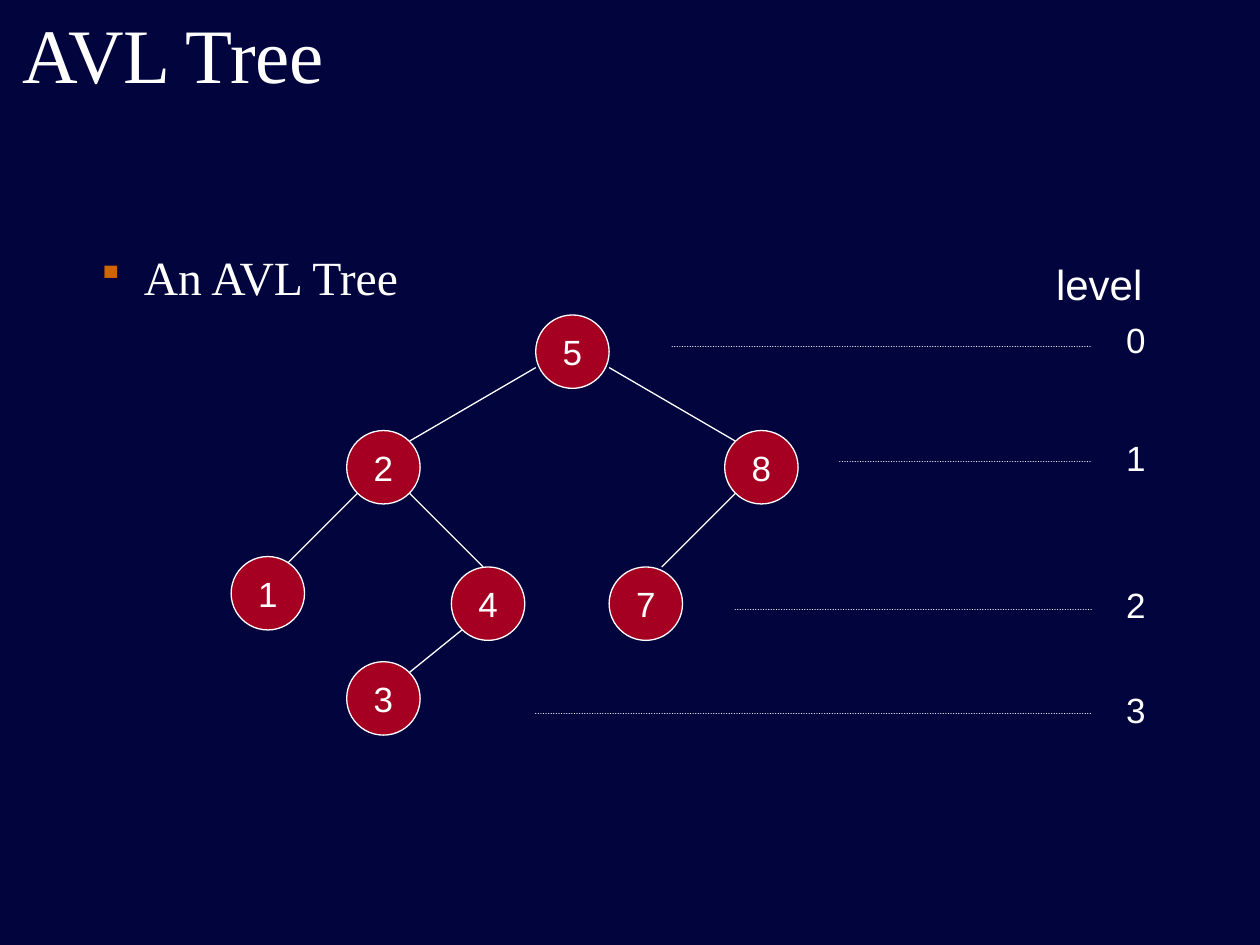
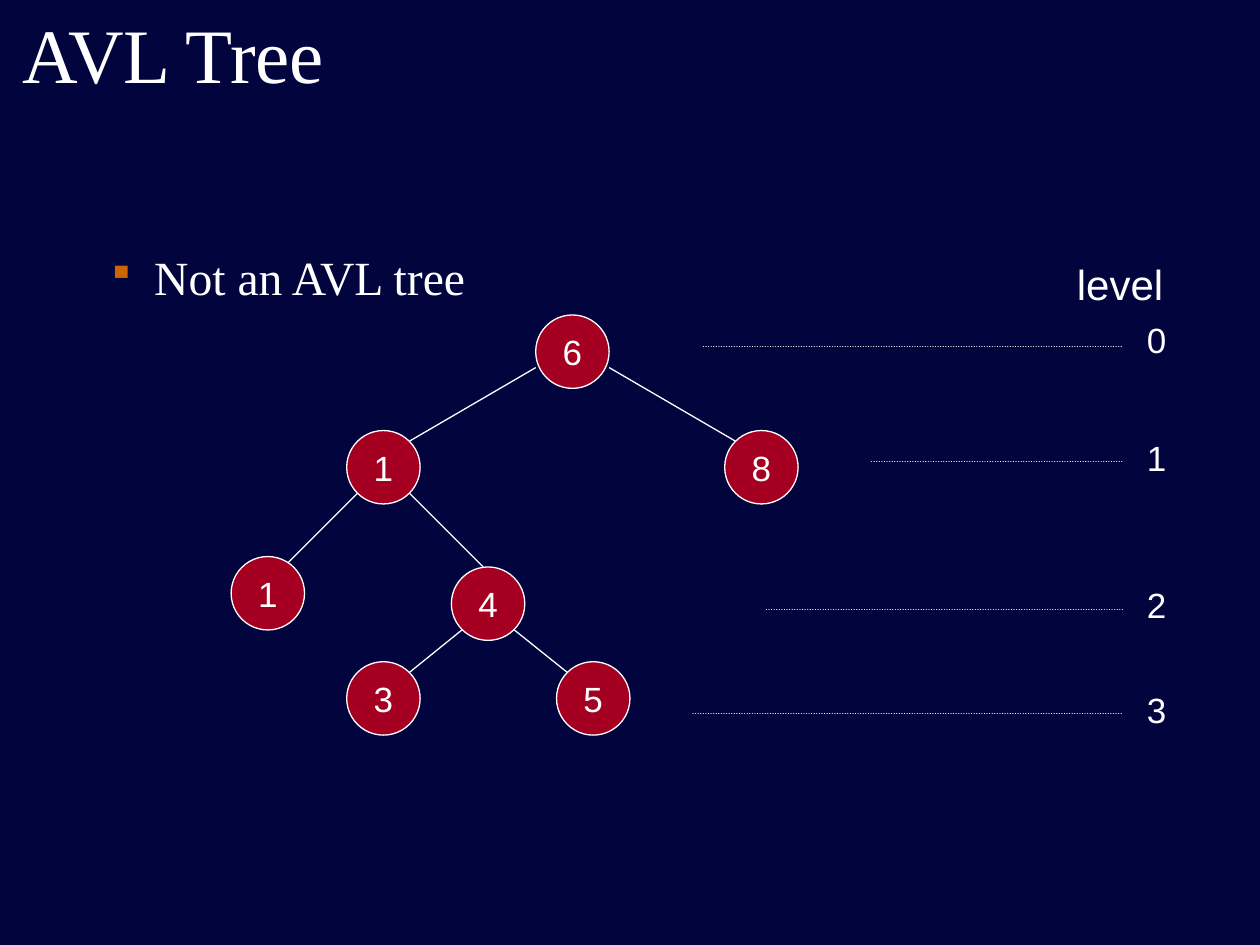
from lxml import etree
from pptx import Presentation
from pptx.dml.color import RGBColor
from pptx.enum.dml import MSO_LINE
from pptx.enum.shapes import MSO_CONNECTOR, MSO_SHAPE
from pptx.enum.text import MSO_ANCHOR, MSO_AUTO_SIZE, PP_ALIGN
from pptx.oxml.ns import qn
from pptx.util import Cm, Pt

NAVY = RGBColor(0x01, 0x04, 0x3D)
RED = RGBColor(0xA5, 0x00, 0x21)
WHITE = RGBColor(0xFF, 0xFF, 0xFF)
ORANGE = RGBColor(0xCC, 0x66, 0x00)
SERIF, SANS = "Times New Roman", "Arial"
CENTER, LEFT = PP_ALIGN.CENTER, PP_ALIGN.LEFT
MIDDLE, NO_FIT = MSO_ANCHOR.MIDDLE, MSO_AUTO_SIZE.NONE
STRAIGHT, OVAL, DOTTED = MSO_CONNECTOR.STRAIGHT, MSO_SHAPE.OVAL, MSO_LINE.ROUND_DOT
TITLE_ONLY = 5

# Tree geometry in cm; L and R spell the way down from the root
NODE_SIZE = 1.48
NODE_SPOTS = {
    "root": (10.8, 6.35), "L": (6.99, 8.68), "R": (14.61, 8.68),
    "LL": (4.66, 11.22), "LR": (9.1, 11.43), "RL": (12.28, 11.43),
    "LRL": (6.99, 13.34), "LRR": (11.22, 13.34),
}
# Edge from the parent to the node named by the key
EDGES = {
    "L": (10.8, 7.41, 8.26, 8.89), "R": (12.28, 7.41, 14.82, 8.89),
    "LL": (7.2, 9.95, 5.72, 11.43), "LR": (8.26, 9.95, 9.74, 11.43),
    "RL": (14.82, 9.95, 13.34, 11.43),
    "LRL": (9.31, 12.7, 8.26, 13.55), "LRR": (10.37, 12.7, 11.43, 13.55),
}
# Height of each level's line and top of its number
LEVELS = [(6.99, 6.3), (9.31, 8.68), (12.28, 11.64), (14.39, 13.76)]


def style_paragraph(p, size, font, align=LEFT):
    p.alignment = align
    p.font.size, p.font.name = Pt(size), font
    p.font.color.rgb = WHITE


def add_title(s, text):
    title = s.shapes.title
    title.left, title.top, title.width, title.height = Cm(0.2), Cm(-0.2), Cm(22.86), Cm(2.54)
    tf = title.text_frame
    tf.text = text
    tf.auto_size, tf.vertical_anchor = NO_FIT, MIDDLE
    style_paragraph(tf.paragraphs[0], 44, SERIF)


def add_text(s, text, x, y, w, h, size, font=SANS, align=CENTER, wrap=False):
    tf = s.shapes.add_textbox(Cm(x), Cm(y), Cm(w), Cm(h)).text_frame
    tf.word_wrap = wrap
    p = tf.paragraphs[0]
    p.text = text
    style_paragraph(p, size, font, align)
    return p


def add_bullet(s, text, x):
    p = add_text(s, text, x, 4.88, 21.18, 1.5, 27.2, SERIF, LEFT, True)
    p.space_before = Pt(8)
    pPr = p._p.get_or_add_pPr()
    pPr.set("marL", str(Cm(0.95)))
    pPr.set("indent", str(Cm(-0.95)))
    # Bullet elements go before the default run properties
    mark = etree.Element(qn("a:buClr"))
    etree.SubElement(mark, qn("a:srgbClr"), val=str(ORANGE))
    size = etree.Element(qn("a:buSzPct"), val="80000")
    char = etree.Element(qn("a:buChar"), char="▪")
    default_run = pPr.find(qn("a:defRPr"))
    for element in (mark, size, char):
        default_run.addprevious(element)


def add_line(s, x1, y1, x2, y2, dash=None):
    line = s.shapes.add_connector(STRAIGHT, Cm(x1), Cm(y1), Cm(x2), Cm(y2))
    line.line.color.rgb = WHITE
    line.line.width = Pt(0.75)
    if dash:
        line.line.dash_style = dash
        line._element.spPr.find(qn("a:ln")).set("cap", "rnd")
    etree.SubElement(line._element.spPr, qn("a:effectLst"))


def add_node(s, key, x, y):
    sp = s.shapes.add_shape(OVAL, Cm(x), Cm(y), Cm(NODE_SIZE), Cm(NODE_SIZE))
    sp.shadow.inherit = False
    sp.fill.solid()
    sp.fill.fore_color.rgb = RED
    sp.line.color.rgb = WHITE
    sp.line.width = Pt(0.75)
    tf = sp.text_frame
    tf.margin_left = tf.margin_right = tf.margin_top = tf.margin_bottom = 0
    tf.vertical_anchor = MIDDLE
    tf.text = key
    style_paragraph(tf.paragraphs[0], 20, SANS, CENTER)


def add_tree(s, keys):
    # Edges lie behind the nodes
    for spot in keys:
        if spot in EDGES:
            add_line(s, *EDGES[spot])
    for spot, key in keys.items():
        add_node(s, key, *NODE_SPOTS[spot])


def add_levels(s, line_starts, line_end, number_x):
    add_text(s, "level", number_x - 1.69, 5.08, 2.8, 1.27, 24)
    for level, (start, (line_y, number_y)) in enumerate(zip(line_starts, LEVELS)):
        add_line(s, start, line_y, line_end, line_y, DOTTED)
        add_text(s, str(level), number_x, number_y, 0.89, 1.12, 20)


def add_tree_slide(prs, caption, caption_x, keys, line_starts, line_end, number_x):
    s = prs.slides.add_slide(prs.slide_layouts[TITLE_ONLY])
    add_title(s, "AVL Tree")
    add_bullet(s, caption, caption_x)
    add_tree(s, keys)
    add_levels(s, line_starts, line_end, number_x)


def main():
    prs = Presentation()
    prs.slide_width, prs.slide_height = Cm(25.4), Cm(19.05)
    fill = prs.slide_master.background.fill
    fill.solid()
    fill.fore_color.rgb = NAVY

    # Balanced tree
    add_tree_slide(
        prs, "An AVL Tree", 1.7,
        {"root": "5", "L": "2", "R": "8", "LL": "1", "LR": "4", "RL": "7", "LRL": "3"},
        [13.55, 16.93, 14.82, 10.8], 22.01, 22.45)

    # Unbalanced tree
    add_tree_slide(
        prs, "Not an AVL tree", 1.91,
        {"root": "6", "L": "1", "R": "8", "LL": "1", "LR": "4", "LRL": "3", "LRR": "5"},
        [14.18, 17.57, 15.45, 13.97], 22.65, 22.87)

    prs.save("out.pptx")


if __name__ == "__main__":
    main()
